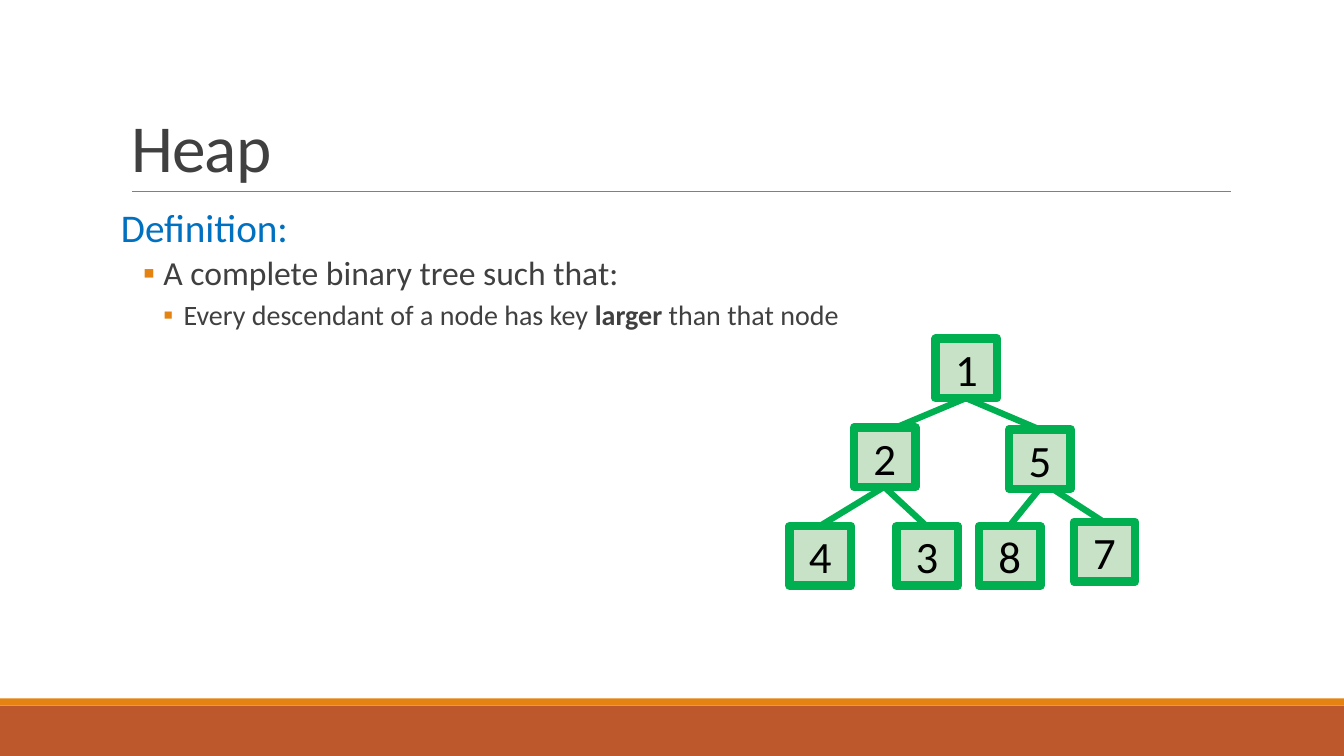
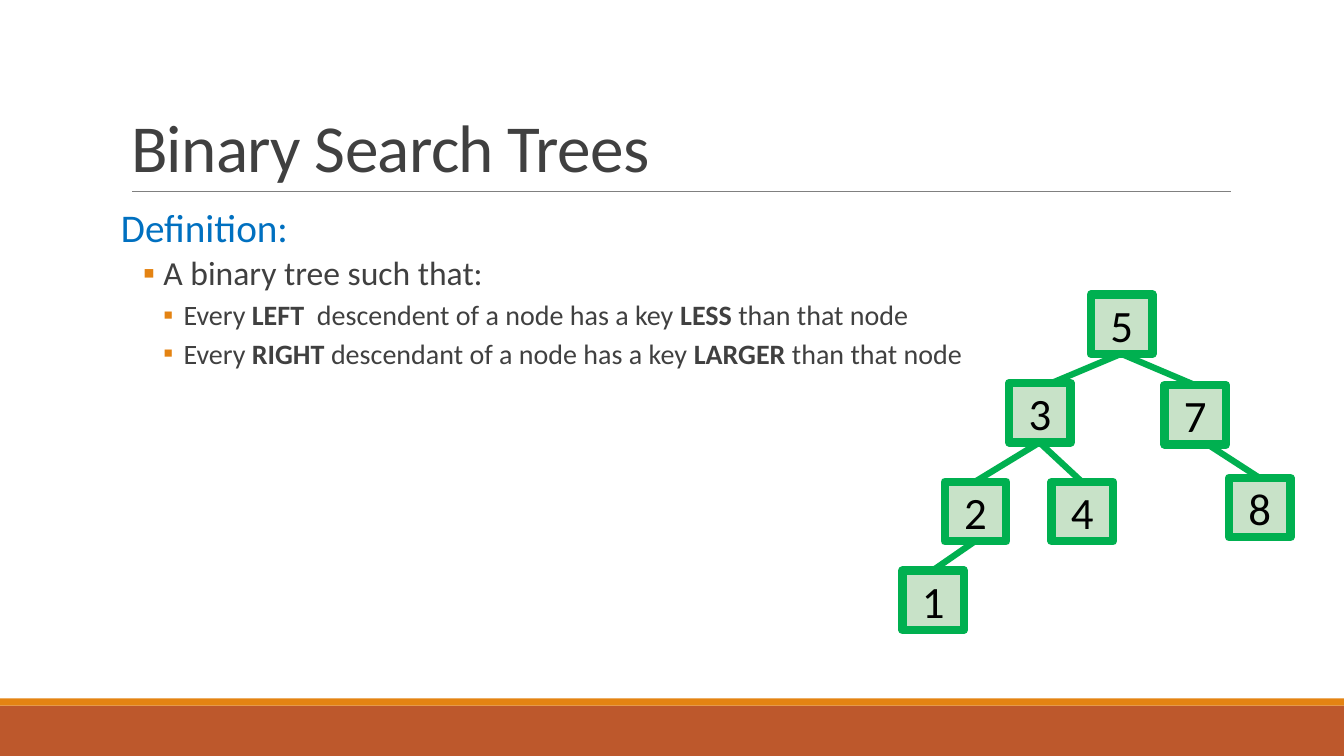
from lxml import etree
from pptx import Presentation
from pptx.dml.color import RGBColor
from pptx.enum.shapes import MSO_CONNECTOR, MSO_SHAPE
from pptx.enum.text import MSO_ANCHOR, MSO_AUTO_SIZE, PP_ALIGN
from pptx.oxml.ns import qn
from pptx.util import Inches, Pt

RECT, STRAIGHT = MSO_SHAPE.RECTANGLE, MSO_CONNECTOR.STRAIGHT
LEFT, CENTER = PP_ALIGN.LEFT, PP_ALIGN.CENTER
TOP, MIDDLE, BOTTOM = MSO_ANCHOR.TOP, MSO_ANCHOR.MIDDLE, MSO_ANCHOR.BOTTOM
NO_FIT = MSO_AUTO_SIZE.NONE

RUST = RGBColor(0xBD, 0x58, 0x2C)
ORANGE = RGBColor(0xE4, 0x83, 0x12)
GRAY = RGBColor(0x80, 0x80, 0x80)
DARK = RGBColor(0x40, 0x40, 0x40)
BLUE = RGBColor(0x00, 0x70, 0xC0)
GREEN = RGBColor(0x00, 0xB0, 0x50)
MINT = RGBColor(0xC8, 0xE2, 0xC8)
BLACK = RGBColor(0, 0, 0)
FONT = "Calibri"

# Per list level: size, colour, indent, space before, space after
LEVELS = [
    (28, BLUE, 0, 0, 2),
    (24, DARK, 0.42, 2, 4),
    (20, DARK, 0.62, 2, 4),
]
HANG = 0.2

# Tree slots: offset from the root, and the x of the edge's two ends
# within the parent and the child; a slot's parent is its name less one letter
NODE_W, NODE_H, MID = 0.61, 0.59, 0.3
SLOTS = {
    "": (0, 0, MID, MID),
    "L": (-0.81, 0.88, MID, 0.42),
    "R": (0.73, 0.9, MID, MID),
    "LL": (-1.45, 1.86, MID, MID),
    "LR": (-0.39, 1.86, MID, MID),
    "RL": (0.43, 1.86, MID, MID),
    "RR": (1.37, 1.82, 0.43, MID),
    "LLL": (-1.87, 2.74, MID, MID),
}

# Title, list of (level, text with *bold* parts), root place, keys by slot
SLIDES = [
    ("Heap",
     [(0, "Definition:"),
      (1, "A complete binary tree such that:"),
      (2, "Every descendant of a node has key *larger *than that node")],
     (9.28, 3.36),
     {"": 1, "L": 2, "R": 5, "LL": 4, "LR": 3, "RL": 8, "RR": 7}),
    ("Binary Search Trees",
     [(0, "Definition:"),
      (1, "A binary tree such that:"),
      (2, "Every *LEFT * descendent of a node has a key *LESS* than that node"),
      (2, "Every *RIGHT *descendant of a node has a key *LARGER *than that node")],
     (10.82, 2.92),
     {"": 5, "L": 3, "R": 7, "LL": 2, "LR": 4, "RR": 8, "LLL": 1}),
]


def style(para, size, color):
    para.font.name = FONT
    para.font.size = Pt(size)
    para.font.color.rgb = color


def add_box(shapes, x, y, w, h, fill):
    box = shapes.add_shape(RECT, Inches(x), Inches(y), Inches(w), Inches(h))
    box.shadow.inherit = False
    box.fill.solid()
    box.fill.fore_color.rgb = fill
    box.line.fill.background()
    return box


def add_line(shapes, x1, y1, x2, y2, color, width):
    line = shapes.add_connector(
        STRAIGHT, Inches(x1), Inches(y1), Inches(x2), Inches(y2))
    line.line.color.rgb = color
    line.line.width = Pt(width)
    etree.SubElement(line._element.spPr, qn("a:effectLst"))
    return line


# Shared layout
def place(holder, x, y, w, h, anchor):
    holder.left, holder.top = Inches(x), Inches(y)
    holder.width, holder.height = Inches(w), Inches(h)
    frame = holder.text_frame
    frame.vertical_anchor = anchor
    frame.auto_size = NO_FIT
    return frame


def set_layout(layout):
    for holder in list(layout.placeholders):
        if holder.placeholder_format.idx >= 10:
            holder.element.getparent().remove(holder.element)
    title, body = layout.placeholders
    place(title, 1.2, 0.31, 11, 1.59, BOTTOM)
    frame = place(body, 1.2, 2.02, 11, 4.4, TOP)
    frame.margin_left = frame.margin_right = 0


def add_bands(slide):
    """Draw the bands and the rule, then move them to the layout."""
    shapes = slide.shapes
    parts = [
        add_box(shapes, 0, 7, 13.33, 0.5, RUST),
        add_box(shapes, 0, 6.93, 13.33, 0.07, ORANGE),
        add_line(shapes, 1.31, 1.9, 12.21, 1.9, GRAY, 0.5),
    ]
    tree = slide.slide_layout.shapes.element
    for pos, part in enumerate(parts, 2):
        tree.insert(pos, part._element)


# Text
def set_title(slide, text):
    slide.shapes.title.text = text
    para = slide.shapes.title.text_frame.paragraphs[0]
    para.alignment = LEFT
    para.line_spacing = 0.85
    style(para, 48, DARK)
    para._p.pPr.find(qn("a:defRPr")).set("spc", "-50")


def set_bullet(para, indent):
    props = para._p.get_or_add_pPr()
    props.set("marL", str(Inches(indent)))
    props.set("indent", str(Inches(-HANG if indent else 0)))
    if not indent:
        etree.SubElement(props, qn("a:buNone"))
        return
    tint = etree.SubElement(props, qn("a:buClr"))
    etree.SubElement(tint, qn("a:srgbClr"), val=str(ORANGE))
    etree.SubElement(props, qn("a:buFont"), typeface=FONT)
    etree.SubElement(props, qn("a:buChar"), char="▪")


def set_list(slide, items):
    frame = slide.placeholders[1].text_frame
    for num, (level, text) in enumerate(items):
        para = frame.add_paragraph() if num else frame.paragraphs[0]
        size, color, indent, before, after = LEVELS[level]
        para.level = level
        set_bullet(para, indent)
        para.line_spacing = 0.9
        para.space_before, para.space_after = Pt(before), Pt(after)
        style(para, size, color)
        for part, piece in enumerate(text.split("*")):
            run = para.add_run()
            run.text = piece
            if part % 2:
                run.font.bold = True


# Tree
def add_node(shapes, x, y, key):
    node = add_box(shapes, x, y, NODE_W, NODE_H, MINT)
    node.line.color.rgb = GREEN
    node.line.width = Pt(6)
    frame = node.text_frame
    frame.vertical_anchor = MIDDLE
    frame.text = str(key)
    para = frame.paragraphs[0]
    para.alignment = CENTER
    style(para, 32, BLACK)


def add_tree(slide, root, keys):
    shapes = slide.shapes.add_group_shape().shapes
    spots = {slot: (root[0] + SLOTS[slot][0], root[1] + SLOTS[slot][1])
             for slot in keys}
    for slot, key in keys.items():
        add_node(shapes, *spots[slot], key)
    for slot, (x, y) in spots.items():
        if slot:
            up_x, up_y = spots[slot[:-1]]
            start, end = SLOTS[slot][2:]
            add_line(shapes, x + end, y, up_x + start, up_y + NODE_H,
                     GREEN, 4.5)


def main():
    prs = Presentation()
    prs.slide_width, prs.slide_height = Inches(13.33), Inches(7.5)
    layout = prs.slide_layouts[1]
    set_layout(layout)
    for num, (title, items, root, keys) in enumerate(SLIDES):
        slide = prs.slides.add_slide(layout)
        if num == 0:
            add_bands(slide)
        set_title(slide, title)
        set_list(slide, items)
        add_tree(slide, root, keys)
    prs.save("out.pptx")


if __name__ == "__main__":
    main()
